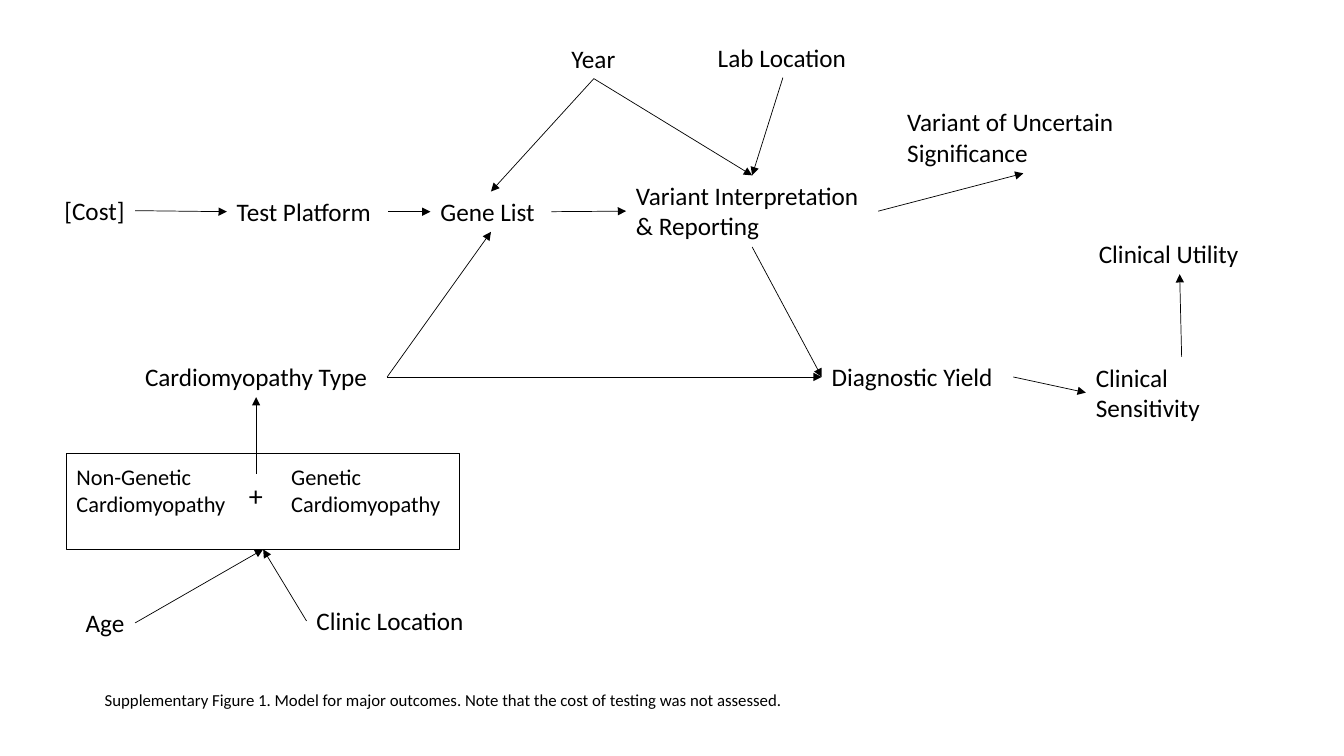
from typing import NamedTuple

from lxml import etree
from pptx import Presentation
from pptx.dml.color import RGBColor
from pptx.enum.shapes import MSO_CONNECTOR, MSO_SHAPE
from pptx.enum.text import MSO_AUTO_SIZE
from pptx.oxml.ns import qn
from pptx.util import Inches, Pt

STRAIGHT = MSO_CONNECTOR.STRAIGHT
RECTANGLE = MSO_SHAPE.RECTANGLE
GROW = MSO_AUTO_SIZE.SHAPE_TO_FIT_TEXT
FONT = "Calibri"
BLACK = "000000"


class Point(NamedTuple):
    x: float
    y: float


class Area(NamedTuple):
    left: float
    top: float
    width: float
    height: float

    def side(self, name: str) -> Point:
        """Middle of the named side."""
        across, down = {"left": (0, 0.5), "right": (1, 0.5),
                        "top": (0.5, 0), "bottom": (0.5, 1)}[name]
        return Point(self.left + across * self.width, self.top + down * self.height)


class Label(NamedTuple):
    text: str
    area: Area
    size: int = 18
    wrap: bool = True


class Arrow(NamedTuple):
    source: str
    source_side: str
    target: str
    target_side: str


LABELS = {
    "caption": Label("Supplementary Figure 1. Model for major outcomes. "
                     "Note that the cost of testing was not assessed.",
                     Area(0.94, 6.79, 7, 0.3), 12, False),
    "cost": Label("[Cost]", Area(0.54, 1.89, 0.8, 0.4), wrap=False),
    "platform": Label("Test Platform", Area(2.25, 1.9, 1.6, 0.4)),
    "genes": Label("Gene List", Area(4.27, 1.9, 1.2, 0.4)),
    "reporting": Label("Variant Interpretation & Reporting", Area(6.21, 1.74, 2.5, 0.71)),
    "uncertain": Label("Variant of Uncertain Significance", Area(8.9, 1.01, 2.5, 0.71)),
    "year": Label("Year", Area(5.57, 0.38, 0.64, 0.4), wrap=False),
    "lab": Label("Lab Location", Area(7.02, 0.37, 1.49, 0.4), wrap=False),
    "type": Label("Cardiomyopathy Type", Area(1.34, 3.54, 2.5, 0.4)),
    "yield": Label("Diagnostic Yield", Area(8.15, 3.54, 1.9, 0.4)),
    "sensitivity": Label("Clinical Sensitivity", Area(10.77, 3.54, 1.9, 0.71)),
    "utility": Label("Clinical Utility", Area(10.8, 2.32, 1.8, 0.4)),
    "non_genetic": Label("Non-Genetic Cardiomyopathy", Area(0.66, 4.55, 1.98, 0.64), 16),
    "plus": Label("+", Area(2.37, 4.7, 0.34, 0.44), 20, False),
    "genetic": Label("Genetic Cardiomyopathy", Area(2.79, 4.55, 1.98, 0.64), 16),
    "age": Label("Age", Area(0.75, 5.98, 0.59, 0.4), wrap=False),
    "clinic": Label("Clinic Location", Area(3.04, 5.96, 1.68, 0.4), wrap=False),
}
CAUSES_FRAME = Area(0.66, 4.5, 3.9, 0.95)
AREAS = {name: label.area for name, label in LABELS.items()} | {"causes": CAUSES_FRAME}

ARROWS = [
    Arrow("cost", "right", "platform", "left"),
    Arrow("platform", "right", "genes", "left"),
    Arrow("genes", "right", "reporting", "left"),
    Arrow("reporting", "right", "uncertain", "bottom"),
    Arrow("reporting", "bottom", "yield", "left"),
    Arrow("year", "bottom", "genes", "top"),
    Arrow("year", "bottom", "reporting", "top"),
    Arrow("lab", "bottom", "reporting", "top"),
    Arrow("type", "right", "genes", "bottom"),
    Arrow("type", "right", "yield", "left"),
    Arrow("yield", "right", "sensitivity", "left"),
    Arrow("sensitivity", "top", "utility", "bottom"),
    Arrow("age", "right", "causes", "bottom"),
    Arrow("clinic", "left", "causes", "bottom"),
]


def color(value: str) -> RGBColor:
    return RGBColor.from_string(value)


def add_label(page, label: Label) -> None:
    box = page.shapes.add_textbox(*map(Inches, label.area))
    frame = box.text_frame
    frame.word_wrap = label.wrap
    frame.auto_size = GROW
    span = frame.paragraphs[0].add_run()
    span.text = label.text
    span.font.name = FONT
    span.font.size = Pt(label.size)
    span.font.color.rgb = color(BLACK)


def add_arrow(page, start: Point, end: Point) -> None:
    arrow = page.shapes.add_connector(STRAIGHT, *map(Inches, (*start, *end)))
    arrow.line.color.rgb = color(BLACK)
    arrow.line.width = Pt(0.5)
    outline = arrow.line._get_or_add_ln()
    etree.SubElement(outline, qn("a:tailEnd"), type="triangle")
    etree.SubElement(arrow._element.spPr, qn("a:effectLst"))


def add_frame(page, area: Area) -> None:
    box = page.shapes.add_shape(RECTANGLE, *map(Inches, area))
    box.shadow.inherit = False
    box.fill.background()
    box.line.color.rgb = color(BLACK)
    box.line.width = Pt(1)


def main() -> None:
    deck = Presentation()
    deck.slide_width, deck.slide_height = Inches(13.33), Inches(7.5)
    page = deck.slides.add_slide(deck.slide_layouts[6])

    # Labels and the frame around the two causes
    for label in LABELS.values():
        add_label(page, label)
    add_frame(page, CAUSES_FRAME)

    # Arrows between the middles of sides
    for arrow in ARROWS:
        add_arrow(page, AREAS[arrow.source].side(arrow.source_side),
                  AREAS[arrow.target].side(arrow.target_side))

    # Upright arrow from the plus sign to the cardiomyopathy type
    plus_top = AREAS["plus"].side("top")
    add_arrow(page, plus_top, Point(plus_top.x, AREAS["type"].side("bottom").y))

    deck.save("out.pptx")


if __name__ == "__main__":
    main()
